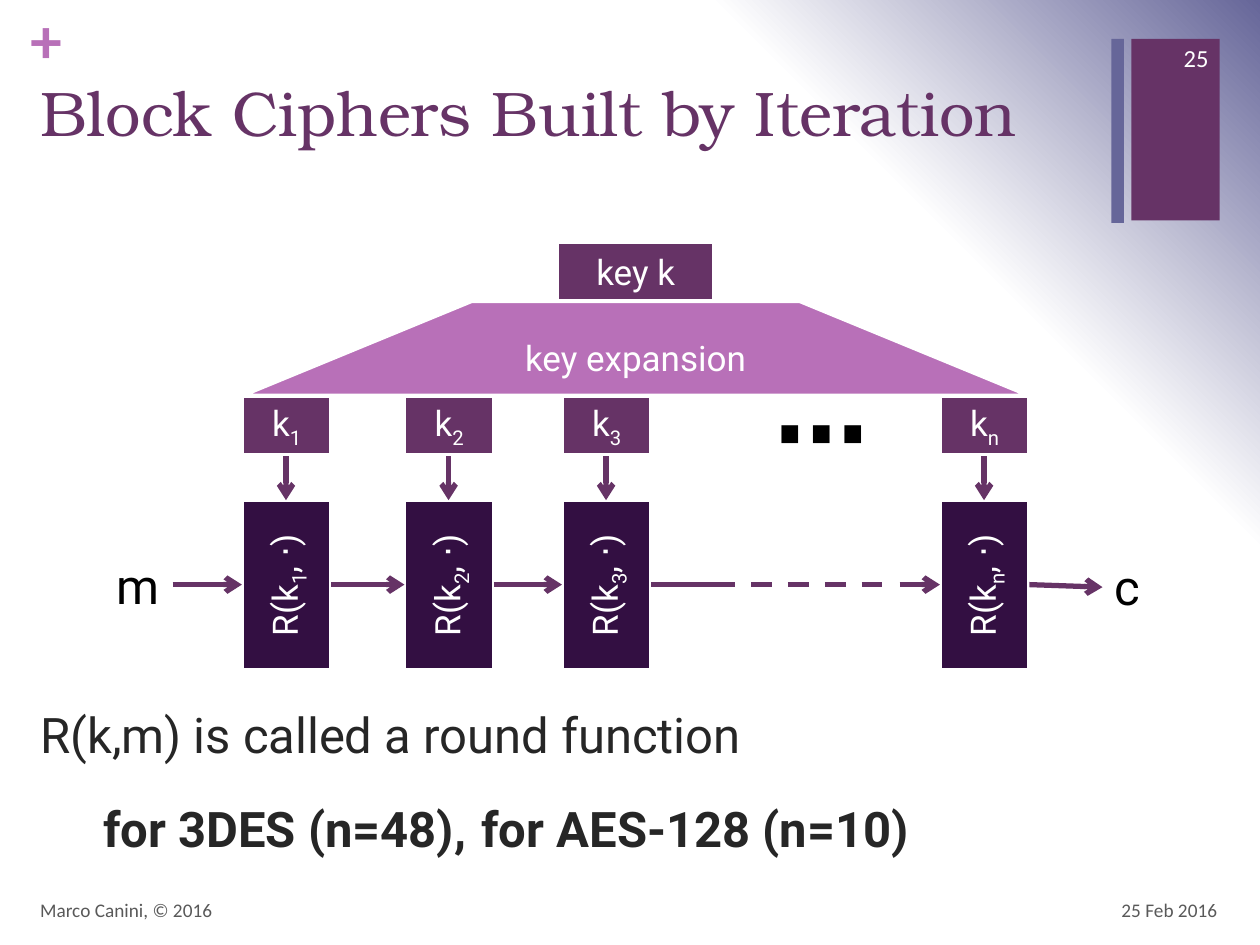
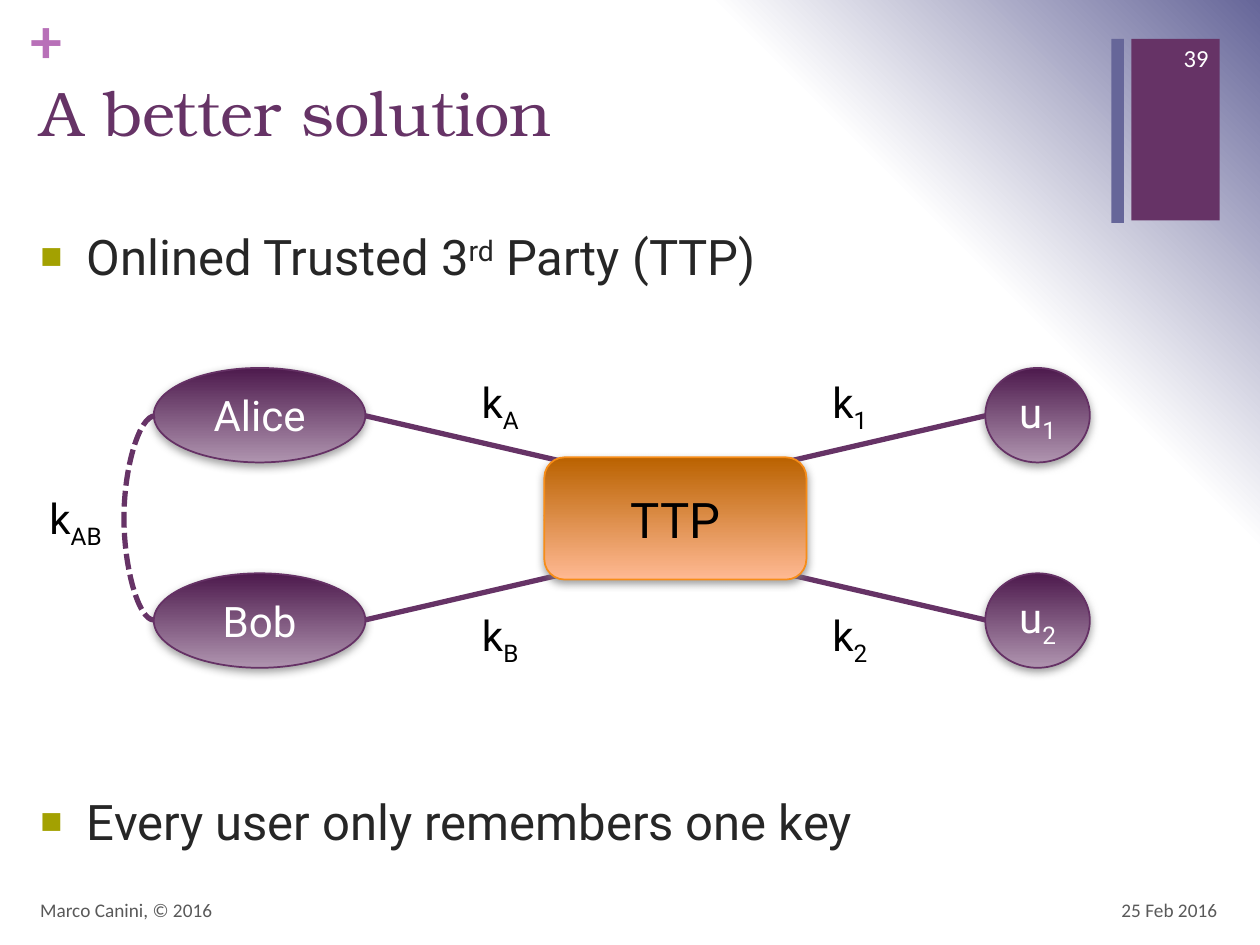
"""Build two cryptography lecture slides: block cipher iteration and a trusted third party."""
import pptx
import pptx.dml.color
import pptx.enum.dml
import pptx.enum.shapes
import pptx.enum.text
import pptx.oxml
import pptx.oxml.ns
import pptx.util

PX = 9144
PLUM, ORCHID, SLATE, DARK = "663366", "B870B8", "666699", "330F42"
WHITE, BLACK, INK, GRAY = "FFFFFF", "000000", "262626", "595959"
PLUM_FADE, ORANGE_FADE = ("4D1A4D", "AF94AF"), ("BA6200", "FFB993")
NAMESPACE = pptx.oxml.ns.nsdecls("a", "p")
LEFT, CENTER, RIGHT = (pptx.enum.text.PP_ALIGN[name] for name in ("LEFT", "CENTER", "RIGHT"))
TOP, MIDDLE = pptx.enum.text.MSO_ANCHOR.TOP, pptx.enum.text.MSO_ANCHOR.MIDDLE
SHAPE = pptx.enum.shapes.MSO_SHAPE
CONNECTOR = pptx.enum.shapes.MSO_CONNECTOR
rgb = pptx.dml.color.RGBColor.from_string


def style(shape, box, text="", size=20, color=BLACK, font="Roboto", align=LEFT, anchor=TOP, bold=False,
          wrap=True, baseline=-25000, gap=20, fill=None, line=None, line_width=2.25):
    """Place a shape, paint it and write its text; text between bars is raised or lowered."""
    shape.left, shape.top, shape.width, shape.height = (length * PX for length in box)
    if fill:
        shape.shadow.inherit = False
        if isinstance(fill, tuple):
            shape.fill.gradient()
            shape.fill.gradient_angle = 270
            for stop, stop_color in zip(shape.fill.gradient_stops, fill):
                stop.color.rgb = rgb(stop_color)
            shape.element.spPr.find(pptx.oxml.ns.qn("a:effectLst")).append(pptx.oxml.parse_xml(
                f'<a:outerShdw {NAMESPACE} blurRad="63500" dist="25400" dir="5400000" rotWithShape="0">'
                '<a:srgbClr val="808080"><a:alpha val="75000"/></a:srgbClr></a:outerShdw>'))
        else:
            shape.fill.solid()
            shape.fill.fore_color.rgb = rgb(fill)
        if line:
            shape.line.color.rgb = rgb(line)
            shape.line.width = pptx.util.Pt(line_width)
        else:
            shape.line.fill.background()
    if not text:
        return
    frame = shape.text_frame
    frame.word_wrap = wrap
    frame.auto_size = pptx.enum.text.MSO_AUTO_SIZE.NONE
    frame.vertical_anchor = anchor
    for index, content in enumerate(text.split("\n")):
        paragraph = frame.add_paragraph() if index else frame.paragraphs[0]
        paragraph.alignment = align
        paragraph.space_before = pptx.util.Pt(gap if index else 0)
        for part_index, part in enumerate(content.split("|")):
            run = paragraph.add_run()
            run.text = part
            run.font.name, run.font.size, run.font.bold = font, pptx.util.Pt(size), bold
            run.font.color.rgb = rgb(color)
            if part_index % 2:
                run.font._element.set("baseline", str(baseline))


def connect(slide, start, end, arrow=True, dash=None, kind=CONNECTOR.STRAIGHT):
    """Draw a plum connector between two points."""
    connector = slide.shapes.add_connector(kind, *(length * PX for length in start + end))
    connector.line.color.rgb = rgb(PLUM)
    connector.line.width = pptx.util.Pt(3)
    if dash:
        connector.line.dash_style = dash
    if arrow:
        connector.line._get_or_add_ln().append(pptx.oxml.parse_xml(f'<a:tailEnd {NAMESPACE} type="arrow"/>'))
    connector.element.spPr.append(pptx.oxml.parse_xml(f"<a:effectLst {NAMESPACE}/>"))
    return connector


presentation = pptx.Presentation()
presentation.slide_width, presentation.slide_height = 1000 * PX, 750 * PX

master = presentation.slide_master
master.background.fill.solid()
common_data = master.element.cSld
common_data.replace(common_data.find(pptx.oxml.ns.qn("p:bg")), pptx.oxml.parse_xml(
    f'<p:bg {NAMESPACE}><p:bgPr><a:gradFill rotWithShape="1"><a:gsLst>'
    + "".join(f'<a:gs pos="{position}"><a:srgbClr val="{color}"/></a:gs>'
              for position, color in ((0, WHITE), (75000, WHITE), (100000, SLATE)))
    + '</a:gsLst><a:path path="circle"><a:fillToRect t="100000" r="100000"/></a:path></a:gradFill>'
    '<a:effectLst/></p:bgPr></p:bg>'))

slides = []
for title, number in (("Block Ciphers Built by Iteration", "25"), ("A better solution", "39")):
    slide = presentation.slides.add_slide(presentation.slide_layouts[1])
    slides.append(slide)
    style(slide.shapes.title, (22, 53, 859, 122), title, 36, PLUM, "TeX Gyre Bonum")
    for box, color in (((898, 31, 70, 144), PLUM), ((882, 31, 10, 146), SLATE)):
        style(slide.shapes.add_shape(SHAPE.RECTANGLE, 0, 0, 0, 0), box, fill=color)
    plus = slide.shapes.add_textbox(0, 0, 0, 0)
    style(plus, (24, 0, 29, 61), "+", 36, ORCHID, "Calibri", bold=True)
    plus.text_frame.margin_left = plus.text_frame.margin_right = 0
    plus.text_frame.margin_top = plus.text_frame.margin_bottom = 0
    for box, text, size, color, align in (
            ((743, 702, 233, 40), "25 Feb 2016", 11, GRAY, RIGHT),
            ((22, 702, 670, 40), "Marco Canini, © 2016", 11, GRAY, LEFT),
            ((908, 26, 61, 40), number, 14, WHITE, RIGHT)):
        style(slide.shapes.add_textbox(0, 0, 0, 0), box, text, size, color, "Calibri", align, MIDDLE)

cipher, trust = slides

body = cipher.placeholders[1]
style(body, (22, 554, 954, 148),
      "R(k,m) is called a round function\n\tfor 3DES (n=48),\tfor AES-128 (n=10)", 28, INK)
for paragraph in body.text_frame.paragraphs:
    properties = paragraph._p.get_or_add_pPr()
    properties.set("marL", "0")
    properties.set("indent", "0")
    properties.append(pptx.oxml.parse_xml(f"<a:buNone {NAMESPACE}/>"))
    properties.append(pptx.oxml.parse_xml(
        f'<a:tabLst {NAMESPACE}><a:tab pos="{100 * PX}" algn="l"/><a:tab pos="{455 * PX}" algn="l"/></a:tabLst>'))
for run in body.text_frame.paragraphs[1].runs:
    run.font.bold = True

block = {"color": WHITE, "align": CENTER, "anchor": MIDDLE, "line": WHITE}
style(cipher.shapes.add_shape(SHAPE.RECTANGLE, 0, 0, 0, 0), (442, 192, 125, 47), "key k", fill=PLUM, **block)
expansion = cipher.shapes.add_shape(SHAPE.TRAPEZOID, 0, 0, 0, 0)
style(expansion, (192, 239, 625, 75), "key expansion", fill=ORCHID, **block)
expansion.adjustments[0] = 2.43

for left, index in ((192, "1"), (321, "2"), (446, "3"), (746, "n")):
    style(cipher.shapes.add_shape(SHAPE.RECTANGLE, 0, 0, 0, 0), (left, 314, 71, 47), f"k|{index}",
          fill=PLUM, **block)
    round_function = cipher.shapes.add_shape(SHAPE.RECTANGLE, 0, 0, 0, 0)
    style(round_function, (left - 32, 429, 135, 71), f"R(k|{index}|, ⋅)", fill=DARK, **block)
    round_function.rotation = 270
    connect(cipher, (left + 35, 362), (left + 35, 397))

for start, end in ((137, 192), (263, 321), (392, 446), (714, 746)):
    connect(cipher, (start, 464), (end, 464))
connect(cipher, (817, 464), (875, 466))
connect(cipher, (517, 464), (575, 464), arrow=False)
connect(cipher, (567, 464), (700, 464), arrow=False, dash=pptx.enum.dml.MSO_LINE.DASH)

for box, text, size, bold in (((83, 436, 53, 57), "m", 28, False), ((875, 437, 42, 57), "c", 28, False),
                              ((605, 291, 58, 101), "⋯", 54, True)):
    style(cipher.shapes.add_textbox(0, 0, 0, 0), box, text, size, bold=bold, wrap=False)

body = trust.placeholders[1]
style(body, (22, 175, 954, 527), "Onlined Trusted 3|rd| Party (TTP)\nEvery user only remembers one key",
      28, INK, baseline=30000, gap=289)
for paragraph in body.text_frame.paragraphs:
    properties = paragraph._p.get_or_add_pPr()
    properties.set("marL", str(37 * PX))
    properties.set("indent", str(-37 * PX))
    for bullet in ('buClr {}><a:srgbClr val="A3A101"/></a:buClr>', 'buSzPct {} val="75000"/>',
                   'buFont {} typeface="Arial"/>', 'buChar {} char="■"/>'):
        properties.append(pptx.oxml.parse_xml("<a:" + bullet.format(NAMESPACE)))

for left, width, names in ((122, 168, ("Alice", "Bob")), (782, 83, ("u|1", "u|2"))):
    for top, name in zip((292, 455), names):
        style(trust.shapes.add_shape(SHAPE.OVAL, 0, 0, 0, 0), (left, top, width, 75), name, 24, WHITE,
              align=CENTER, anchor=MIDDLE, fill=PLUM_FADE, line="653165", line_width=1)

for party_x, center_x in ((290, 640), (782, 432)):
    for party_y in (330, 492):
        connect(trust, (party_x, party_y), (center_x, 411), arrow=False)

for box, label in (((371, 294, 52, 50), "k|A"), ((372, 479, 50, 50), "k|B"), ((650, 294, 49, 50), "k|1"),
                   ((650, 479, 49, 50), "k|2"), ((28, 386, 64, 50), "k|AB")):
    style(trust.shapes.add_textbox(0, 0, 0, 0), box, label, 24, align=CENTER, wrap=False)

style(trust.shapes.add_shape(SHAPE.ROUNDED_RECTANGLE, 0, 0, 0, 0), (432, 363, 208, 97), "TTP", 28,
      align=CENTER, anchor=MIDDLE, fill=ORANGE_FADE, line="F78D18", line_width=1)

shared_key = connect(trust, (122, 330), (123, 492), arrow=False, dash=pptx.enum.dml.MSO_LINE.SQUARE_DOT,
                     kind=CONNECTOR.CURVE)
transform = shared_key.element.spPr.find(pptx.oxml.ns.qn("a:xfrm"))
transform.set("rot", "10800000")
transform.set("flipV", "1")
geometry = shared_key.element.spPr.find(pptx.oxml.ns.qn("a:prstGeom"))
geometry.find(pptx.oxml.ns.qn("a:avLst")).append(
    pptx.oxml.parse_xml(f'<a:gd {NAMESPACE} name="adj1" fmla="val 2500000"/>'))

presentation.save("out.pptx")
